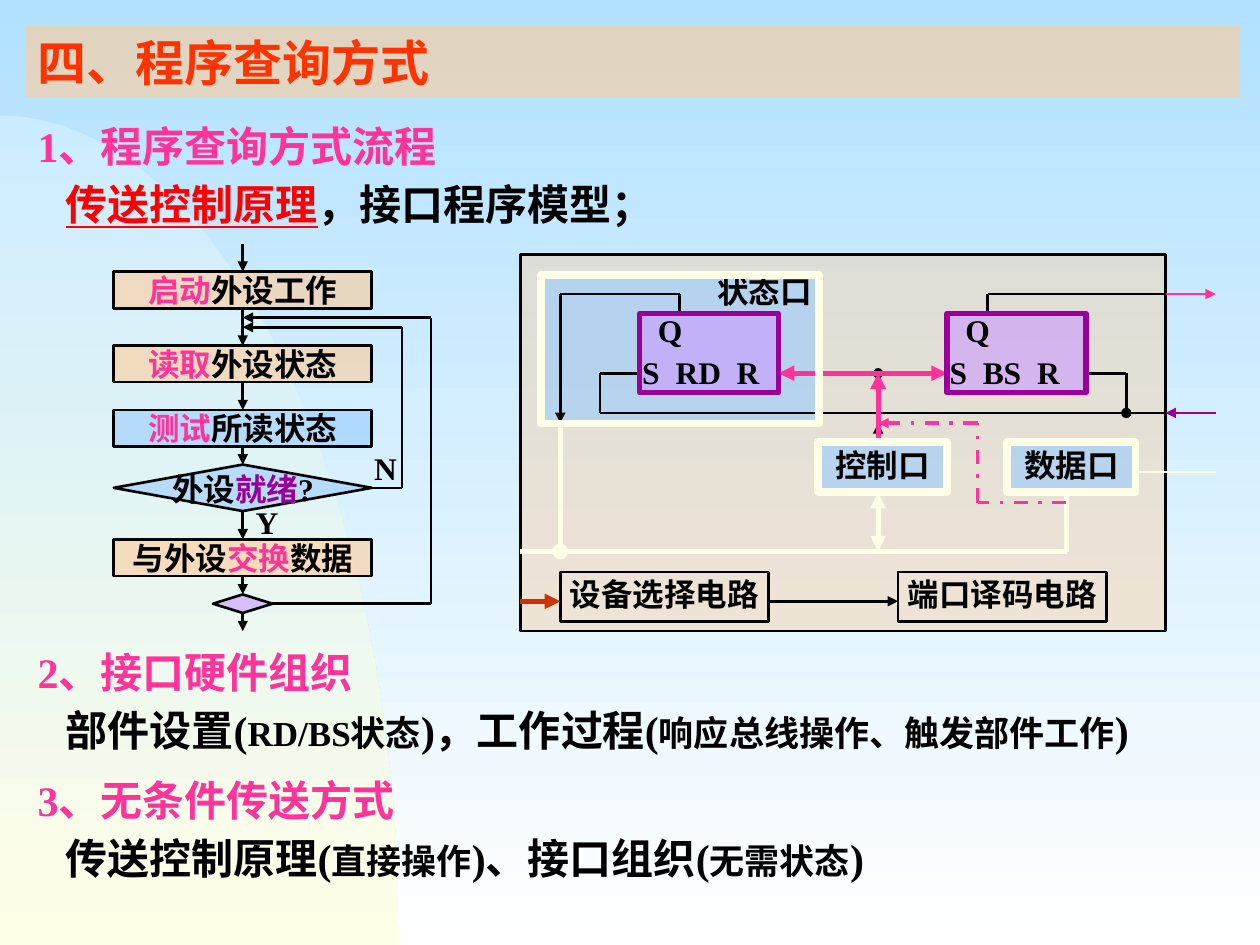
from dataclasses import dataclass
from math import cos, pi, sin

from pptx import Presentation
from pptx.dml.color import RGBColor as Rgb
from pptx.enum.dml import MSO_LINE as Dash
from pptx.enum.shapes import MSO_CONNECTOR as Conn, MSO_SHAPE as Geom
from pptx.enum.text import MSO_ANCHOR as Anchor, MSO_AUTO_SIZE as Fit, PP_ALIGN as Align
from pptx.oxml.ns import qn
from pptx.util import Pt
from lxml.etree import SubElement as Sub


@dataclass
class Theme:
    face: str = "Times New Roman"
    head: int = 28
    body: int = 24
    note: int = 20
    label: int = 18
    black: str = "000000"
    pink: str = "FF3399"
    red: str = "FF0000"
    title: str = "FF3300"
    rust: str = "CC3300"
    plum: str = "990099"
    cream: str = "FFFFE7"
    sand: str = "FFCC99"
    blue: str = "99CCFF"
    lilac: str = "CC99FF"
    sky: tuple = ("B1E1FF", "FFFFFF")
    hill: tuple = ("CCECFF", "FFFFE7")


T = Theme()
deck = Presentation()
deck.slide_width, deck.slide_height = Pt(720), Pt(540)
slide = deck.slides.add_slide(deck.slide_layouts[5])
shapes = slide.shapes


def box(at, lines=(), fill=None, alpha=60, line=None, width=1.5, geom=Geom.RECTANGLE,
        size=T.label, inset=(1.4, 0.7), align=Align.CENTER, anchor=Anchor.MIDDLE):
    place = [Pt(v) for v in at]
    shape = shapes.add_shape(geom, *place) if geom else shapes.add_textbox(*place)
    shape.shadow.inherit = False
    if fill:
        shape.fill.solid()
        shape.fill.fore_color.rgb = Rgb.from_string(fill)
        tint = shape.fill._xPr.find(".//" + qn("a:srgbClr"))
        Sub(tint, qn("a:alpha"), val=str(alpha * 1000))
    else:
        shape.fill.background()
    if line:
        shape.line.color.rgb = Rgb.from_string(line)
        shape.line.width = Pt(width)
    else:
        shape.line.fill.background()
    frame = shape.text_frame
    frame.word_wrap = True
    frame.vertical_anchor = anchor
    frame.margin_left = frame.margin_right = Pt(inset[0])
    frame.margin_top = frame.margin_bottom = Pt(inset[1])
    for i, (runs, space, indent, stops) in enumerate(lines):
        para = frame.add_paragraph() if i else frame.paragraphs[0]
        para.alignment, para.line_spacing = align, space
        props = para._p.get_or_add_pPr()
        props.set("marL", str(Pt(indent)))
        if stops:
            tabs = Sub(props, qn("a:tabLst"))
            for stop in stops:
                Sub(tabs, qn("a:tab"), pos=str(Pt(stop)), algn="l")
        font = para.font
        font.name, font.size, font.bold = T.face, Pt(size), True
        for text, color, *more in runs:
            run = para.add_run()
            run.text = text
            run.font.color.rgb = Rgb.from_string(color)
            if T.note in more:
                run.font.size = Pt(T.note)
            if "under" in more:
                run.font.underline = True


def link(points, color=T.black, width=1.5, head=None, tail=None, dash=None):
    last = len(points) - 2
    for i, (a, b) in enumerate(zip(points, points[1:])):
        wire = shapes.add_connector(Conn.STRAIGHT, *[Pt(v) for v in a + b])
        Sub(wire._element.spPr, qn("a:effectLst"))
        wire.line.color.rgb = Rgb.from_string(color)
        wire.line.width = Pt(width)
        if dash:
            wire.line.dash_style = dash
        ln = wire.line._get_or_add_ln()
        if head and i == 0:
            Sub(ln, qn("a:headEnd"), type=head)
        if tail and i == last:
            Sub(ln, qn("a:tailEnd"), type=tail)


ARROW = "triangle"
build = shapes.build_freeform(0, Pt(66))
arc = [i * pi / 64 for i in range(1, 33)]
build.add_line_segments([(Pt(228 * sin(t)), Pt(540 - 474 * cos(t))) for t in arc] + [(0, Pt(540))])
hill = build.convert_to_shape()
hill.shadow.inherit = False
hill.line.fill.background()
for fill, pair in ((slide.background.fill, T.sky), (hill.fill, T.hill)):
    fill.gradient()
    fill.gradient_angle = 270
    for stop, color in zip(fill.gradient_stops, pair):
        stop.color.rgb = Rgb.from_string(color)

title = shapes.title
title.left, title.top, title.width, title.height = Pt(14.4), Pt(15), Pt(694), Pt(41)
title.fill.solid()
title.fill.fore_color.rgb = Rgb.from_string(T.sand)
Sub(title.fill._xPr.find(".//" + qn("a:srgbClr")), qn("a:alpha"), val="60000")
title.text_frame.text = "四、程序查询方式"
title.text_frame.auto_size = Fit.NONE
title.text_frame.vertical_anchor = Anchor.TOP
para = title.text_frame.paragraphs[0]
para.alignment = Align.LEFT
para.font.name, para.font.size, para.font.bold = T.face, Pt(T.head), True
para.runs[0].font.color.rgb = Rgb.from_string(T.title)

parts = [
    (58.3, "1、程序查询方式流程",
     [("传送控制原理", T.red, "under"), ("，接口程序模型；", T.black)]),
    (358.6, "2、接口硬件组织",
     [("部件设置(", T.black), ("RD/BS状态", T.black, T.note), (")，工作过程(", T.black),
      ("响应总线操作、触发部件工作", T.black, T.note), (")", T.black)]),
    (432, "3、无条件传送方式",
     [("传送控制原理(", T.black), ("直接操作", T.black, T.note), (")、接口组织(", T.black),
      ("无需状态", T.black, T.note), (")", T.black)]),
]
for y, head, runs in parts:
    box((14.4, y, 694, 76.3), [([(head, T.pink)], 1.25, 0, ()), (runs, 1.15, 16, ())],
        geom=None, size=T.body, inset=(7.2, 3.6), align=Align.LEFT, anchor=Anchor.TOP)

box((297.4, 145.4, 368.6, 215.3), fill=T.sand, alpha=40, line=T.black)
ports = [(467.6, "控制口"), (575.4, "数据口")]
for x, y, w, text, fill in [(320.2, 326.8, 119, "设备选择电路", None),
                            (513.2, 326.8, 119, "端口译码电路", None),
                            *[(x, 252.8, 73.5, text, T.blue) for x, text in ports]]:
    box((x, y, w, 28.3), [([(text, T.black)], 0.9, 0, ())], fill=fill, line=T.black)
link([(439.3, 343.6), (513.2, 343.6)], tail=ARROW)
link([(297.4, 343.6), (320.2, 343.6)], T.rust, 3, tail=ARROW)
link([(297.4, 315.2), (609.6, 315.2), (609.6, 281.5)], T.cream, 3)
link([(501.8, 315.2), (501.8, 281.5)], T.cream, 3, ARROW, ARROW)
link([(320.2, 315.2), (320.2, 241.8)], T.cream, 3, "oval")
link([(649.2, 269.8), (694.8, 269.8)], T.cream)

status = (309, 157, 159, 85)
box(status, fill=T.blue, line=T.black)
box((405.5, 156.3, 62.6, 23), [([("状态口", T.black)], 0.9, 0, ())], geom=None)
flops = [(365.5, "S\tRD\tR", (19.2, 54)), (541.2, "S\tBS\tR", (19, 50))]
for x, pins, stops in flops:
    box((x, 179.2, 79.4, 45.2),
        [([("Q", T.black)], 0.9, 9, ()), ([(pins, T.black)], 1.1, 0, stops)],
        fill=T.lilac, line=T.black, align=Align.LEFT, anchor=Anchor.TOP)
link([(501.8, 252.8), (501.8, 241.8)], tail=ARROW)
link([(501.8, 213.3), (501.8, 241.8)], head="oval")
link([(620.6, 213.3), (643.6, 213.3), (643.6, 236)], tail="oval")
link([(564.3, 179.2), (564.3, 168), (666, 168)])
link([(666, 168), (694.8, 168)], T.pink, tail=ARROW)
link([(365.5, 213.3), (342.8, 213.3), (342.8, 236), (666, 236)])
link([(694.8, 236), (666, 236)], T.plum, tail=ARROW)
link([(388.4, 179.2), (388.4, 168), (320.2, 168), (320.2, 241.8)], tail=ARROW)

link([(501.8, 252.8), (501.8, 213.3)], T.pink, 3, tail=ARROW)
link([(444.9, 213.3), (541.2, 213.3)], T.pink, 3, ARROW, ARROW)
for x, *_ in flops:
    box((x, 179.2, 79.4, 45.2), line=T.plum, width=3)
for x, _ in ports:
    box((x, 252.8, 73.5, 28.3), line=T.cream, width=4.5)
link([(609.4, 287.2), (558.6, 287.2), (558.6, 241.8), (501.8, 241.8)],
     T.pink, 2, tail=ARROW, dash=Dash.DASH_DOT)
box(status, line=T.cream, width=4.5)

steps = [
    (155.3, T.sand, [("启动", T.pink), ("外设工作", T.black)]),
    (197.4, T.sand, [("读取", T.pink), ("外设状态", T.black)]),
    (234.2, T.blue, [("测试", T.pink), ("所读状态", T.black)]),
    (308.2, T.sand, [("与外设", T.black), ("交换", T.pink), ("数据", T.black)]),
]
for y, fill, runs in steps:
    box((65, y, 147.5, 21), [(runs, 1.0, 0, ())], fill=fill, line=T.black)
box((65, 265.5, 147.5, 26.6), fill=T.blue, line=T.black, geom=Geom.FLOWCHART_DECISION)
box((121.7, 339.7, 34, 10.6), fill=T.lilac, line=T.black, geom=Geom.FLOWCHART_DECISION)
box((93.6, 268, 90.7, 23),
    [([("外设", T.black), ("就绪", T.plum), ("?", T.black)], 1.0, 0, ())],
    geom=None, anchor=Anchor.TOP)
for at, text in [((212.4, 260.6, 11.5, 15.8), "N"), ((144.7, 289.4, 11.5, 20.9), "Y")]:
    box(at, [([(text, T.black)], 0.9, 0, ())], geom=None, align=Align.LEFT)
for top, end in [(139.7, 155.3), (176.3, 197.6), (218.6, 234.4), (255.4, 265.5),
                 (292.2, 308.2), (329.2, 339.7), (350.2, 360.7)]:
    link([(138.7, top), (138.7, end)], tail=ARROW)
link([(212.5, 278.8), (229.7, 278.8), (229.7, 187), (138.7, 187)], tail=ARROW)
link([(155.7, 345), (246.3, 345), (246.3, 181.5), (138.7, 181.5)], tail=ARROW)

deck.save("out.pptx")
